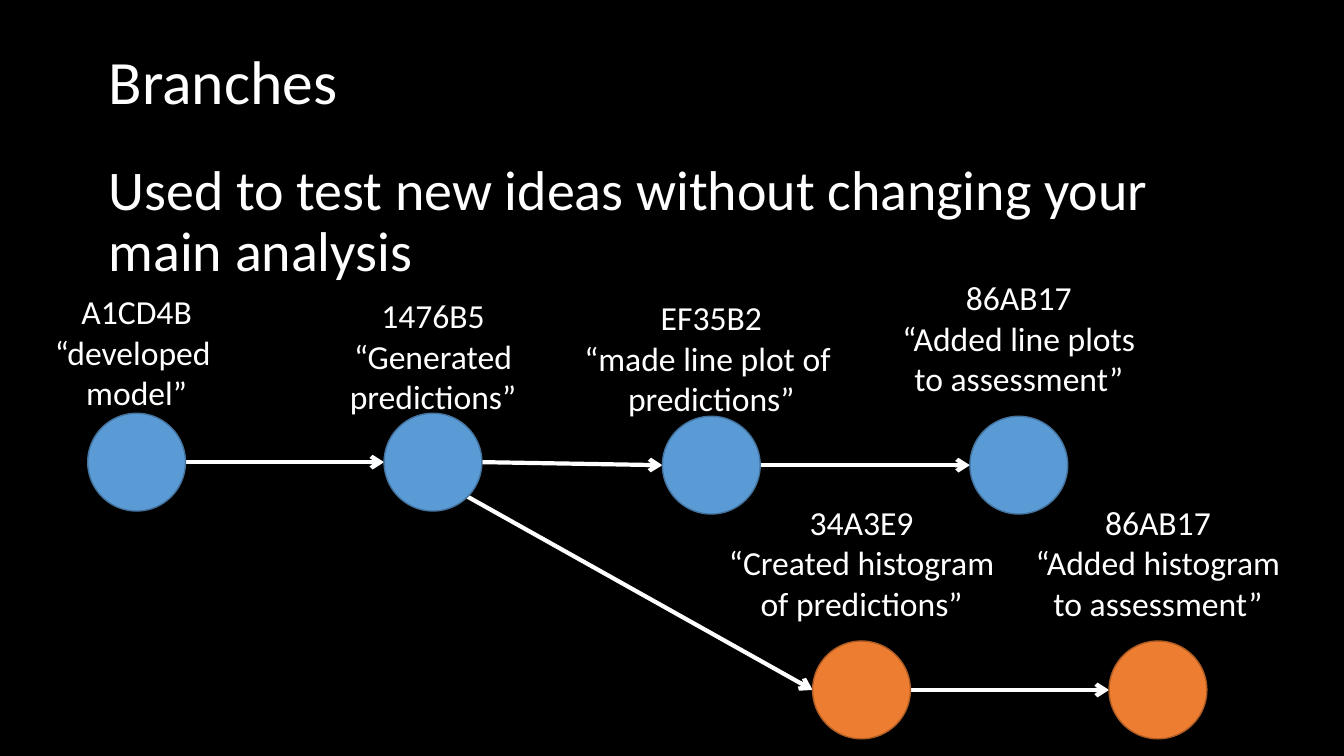
import math

import pptx
import pptx.dml.color
import pptx.enum.shapes
import pptx.enum.text
import pptx.oxml
import pptx.oxml.ns
import pptx.util

SLIDE_W, SLIDE_H = 13.33, 7.5
DOT = 0.97
LABEL_H = 1.31
WHITE, BLACK = "FFFFFF", "000000"
MAIN, TRIAL = ("5B9BD5", "43739E"), ("ED7D31", "AF5C24")
ALIGN = pptx.enum.text.PP_ALIGN
ANCHOR = pptx.enum.text.MSO_ANCHOR

COMMITS = {
    "model": (0.87, 4.1, 1.84, 1.26, MAIN, ["A1CD4B", "“developed ", "model”"]),
    "predictions": (3.81, 4.1, 2.75, 1.22, MAIN, ["1476B5", "“Generated predictions”"]),
    "line plot": (6.57, 4.13, 2.74, 1.23, MAIN, ["EF35B2", "“made line plot of ", "predictions”"]),
    "line report": (9.62, 4.13, 2.75, 1.43, MAIN, ["86AB17", "“Added line plots to assessment”"]),
    "histogram": (8.06, 6.36, 3.08, 1.43, TRIAL, ["34A3E9", "“Created histogram of predictions”"]),
    "histogram report": (11, 6.36, 2.75, 1.43, TRIAL, ["86AB17", "“Added histogram to assessment”"]),
}
STEPS = [
    ("model", "predictions", 0),
    ("predictions", "line plot", 0),
    ("line plot", "line report", 0),
    ("predictions", "histogram", 45),
    ("histogram", "histogram report", 0),
]


def color(value):
    """Return the colour for a hex string."""
    return pptx.dml.color.RGBColor.from_string(value)


def inches(*values):
    """Return the values as slide lengths."""
    return [pptx.util.Inches(v) for v in values]


def add_text(slide, box, lines, size, align=ALIGN.LEFT, anchor=ANCHOR.TOP,
             spacing=1.0, before=0, wrap=True):
    """Place one paragraph per line in the box."""
    tf = slide.shapes.add_textbox(*inches(*box)).text_frame
    tf.word_wrap = wrap
    tf.vertical_anchor = anchor
    for i, line in enumerate(lines):
        p = tf.paragraphs[0] if i == 0 else tf.add_paragraph()
        p.alignment = align
        p.line_spacing = spacing
        p.space_before = pptx.util.Pt(before)
        r = p.add_run()
        r.text = line
        r.font.name = "Calibri"
        r.font.size = pptx.util.Pt(size)
        r.font.color.rgb = color(WHITE)


def add_heading(slide, box):
    """Place the title and the statement below it."""
    left, top, width, height = box
    title_h = 1.45
    add_text(slide, (left, top, width, title_h), ["Branches"], 44,
             anchor=ANCHOR.MIDDLE, spacing=0.9)
    add_text(slide, (left, top + title_h, width, height - title_h),
             ["Used to test new ideas without changing your main analysis"], 40,
             spacing=0.9, before=10)


def add_arrow(slide, start, end):
    """Draw a white arrow between two points."""
    sp = slide.shapes.add_connector(
        pptx.enum.shapes.MSO_CONNECTOR.STRAIGHT, *inches(*start, *end))
    sp.line.color.rgb = color(WHITE)
    sp.line.width = pptx.util.Pt(3)
    pptx.oxml.ns.qn("a:tailEnd")
    ln = sp.line._get_or_add_ln()
    ln.append(ln.makeelement(pptx.oxml.ns.qn("a:tailEnd"), {"type": "arrow"}))
    props = sp._element.spPr
    props.append(props.makeelement(pptx.oxml.ns.qn("a:effectLst"), {}))


def add_commit(slide, x, y, label_w, rise, colors, lines):
    """Draw a commit dot with its label centred above it."""
    sp = slide.shapes.add_shape(
        pptx.enum.shapes.MSO_SHAPE.OVAL, *inches(x, y, DOT, DOT))
    sp.shadow.inherit = False
    sp.fill.solid()
    sp.fill.fore_color.rgb = color(colors[0])
    sp.line.color.rgb = color(colors[1])
    sp.line.width = pptx.util.Pt(1)
    add_text(slide, (x + (DOT - label_w) / 2, y - rise, label_w, LABEL_H), lines, 24,
             align=ALIGN.CENTER, wrap=len(lines) < 3)


def add_history(slide, left, top):
    """Draw the commits and the steps between them from the given corner."""
    placed = {name: (left + c[0], top + c[1]) for name, c in COMMITS.items()}
    radius = DOT / 2
    for source, target, angle in STEPS:
        (x1, y1), (x2, y2) = placed[source], placed[target]
        turn = math.radians(angle)
        start = (x1 + radius * (1 + math.cos(turn)), y1 + radius * (1 + math.sin(turn)))
        add_arrow(slide, start, (x2, y2 + radius))
    for name, commit in COMMITS.items():
        add_commit(slide, *placed[name], *commit[2:])


def main():
    """Build the slide and save it."""
    prs = pptx.Presentation()
    prs.slide_width, prs.slide_height = inches(SLIDE_W, SLIDE_H)
    slide = prs.slides.add_slide(prs.slide_layouts[6])
    slide.background.fill.solid()
    slide.background.fill.fore_color.rgb = color(BLACK)
    add_heading(slide, (0.98, 0.11, 11.5, 6.2))
    add_history(slide, 0, 0)
    prs.save("out.pptx")


if __name__ == "__main__":
    main()
